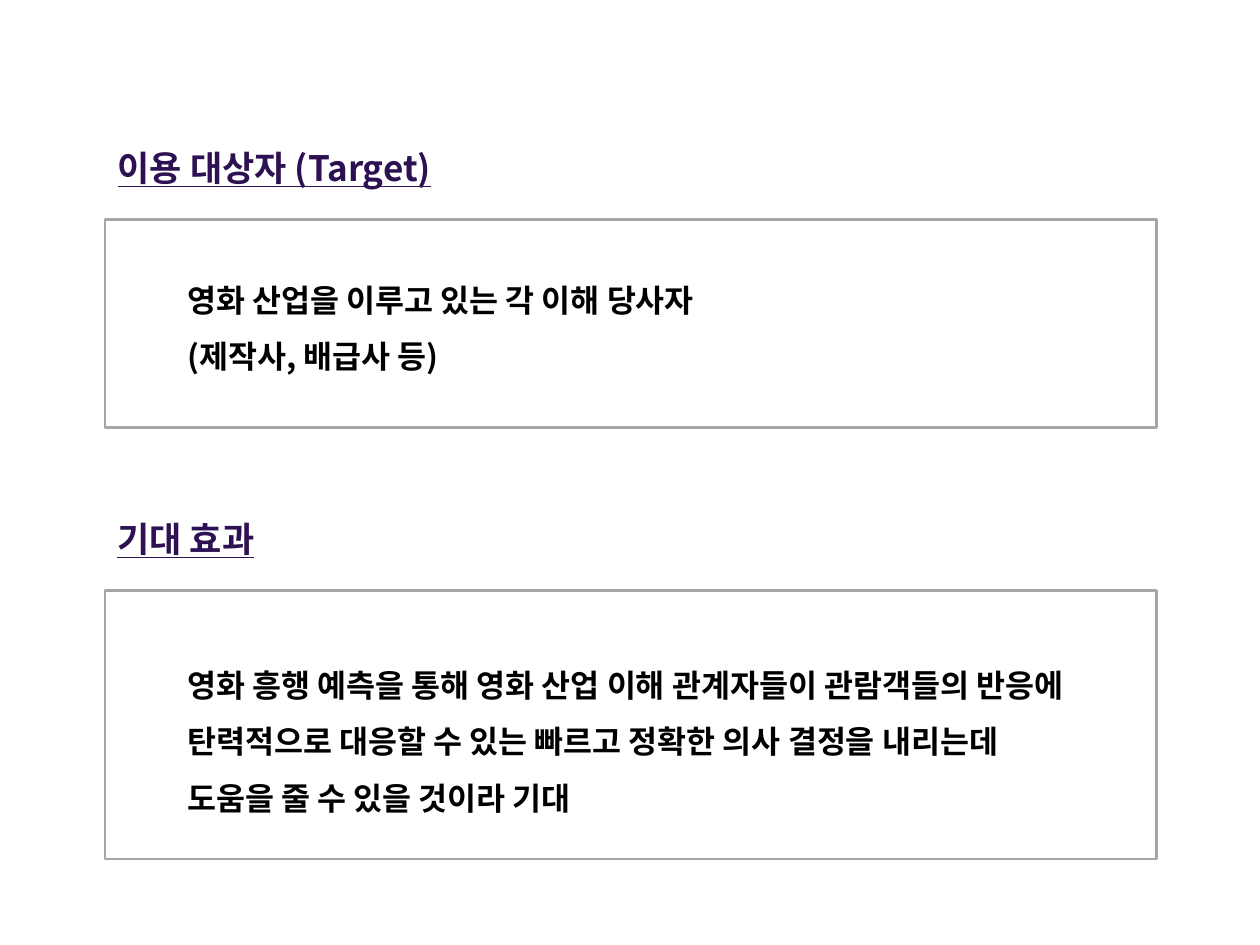
"""Build a slide on the target users and the expected effects."""
from pptx import Presentation
from pptx.dml.color import RGBColor
from pptx.enum import shapes as sh, text as tx
from pptx.oxml.ns import qn
from pptx.util import Pt

FACE = "Noto Sans CJK KR"
LEFT, WIDE = 60, 601
HEAD = {"size": Pt(20), "bold": True, "underline": True, "name": FACE}
BODY = {"size": Pt(18), "bold": True, "name": FACE}


def tint(code):
    return RGBColor.from_string(code)


def write(box, lines, form, color, gap):
    frame = box.text_frame
    frame.word_wrap = True
    frame.auto_size = tx.MSO_AUTO_SIZE.SHAPE_TO_FIT_TEXT
    frame.vertical_anchor = tx.MSO_ANCHOR.TOP
    frame.text = "\n".join(lines)
    for para in frame.paragraphs:
        para.alignment = tx.PP_ALIGN.LEFT
        para.line_spacing = gap
        for run in para.runs:
            for key, value in form.items():
                setattr(run.font, key, value)
            run.font.color.rgb = tint(color)
            east = run.font._element.makeelement(qn("a:ea"), {"typeface": FACE})
            run.font._element.find(qn("a:latin")).addnext(east)


deck = Presentation()
deck.slide_width, deck.slide_height = Pt(720), Pt(540)
slide = deck.slides.add_slide(deck.slide_layouts[5])
title = slide.shapes.title

parts = [
    (80, 119, 146, 73, "이용 대상자 (Target)",
     ["영화 산업을 이루고 있는 각 이해 당사자", "(제작사, 배급사 등)"]),
    (292, 153.5, 366, 105, "기대 효과",
     ["영화 흥행 예측을 통해 영화 산업 이해 관계자들이 관람객들의 반응에 "
      "탄력적으로 대응할 수 있는 빠르고 정확한 의사 결정을 내리는데 "
      "도움을 줄 수 있을 것이라 기대"]),
]

for top, high, start, tall, name, lines in parts:
    spot = [Pt(n) for n in (LEFT, top, 214, 31.5)]
    if top == parts[0][0]:
        head = title
        head.left, head.top, head.width, head.height = spot
    else:
        head = slide.shapes.add_textbox(*spot)
    write(head, [name], HEAD, "2D1152", 1.0)

    frame = slide.shapes.add_shape(
        sh.MSO_SHAPE.RECTANGLE, Pt(LEFT), Pt(top + 45.5), Pt(WIDE), Pt(high))
    frame.shadow.inherit = False
    frame.fill.background()
    frame.line.color.rgb = tint("A6A6A6")
    frame.line.width = Pt(1.5)

    note = slide.shapes.add_textbox(Pt(100), Pt(start), Pt(528.5), Pt(tall))
    write(note, lines, BODY, "000000", 1.5)

deck.save("out.pptx")
